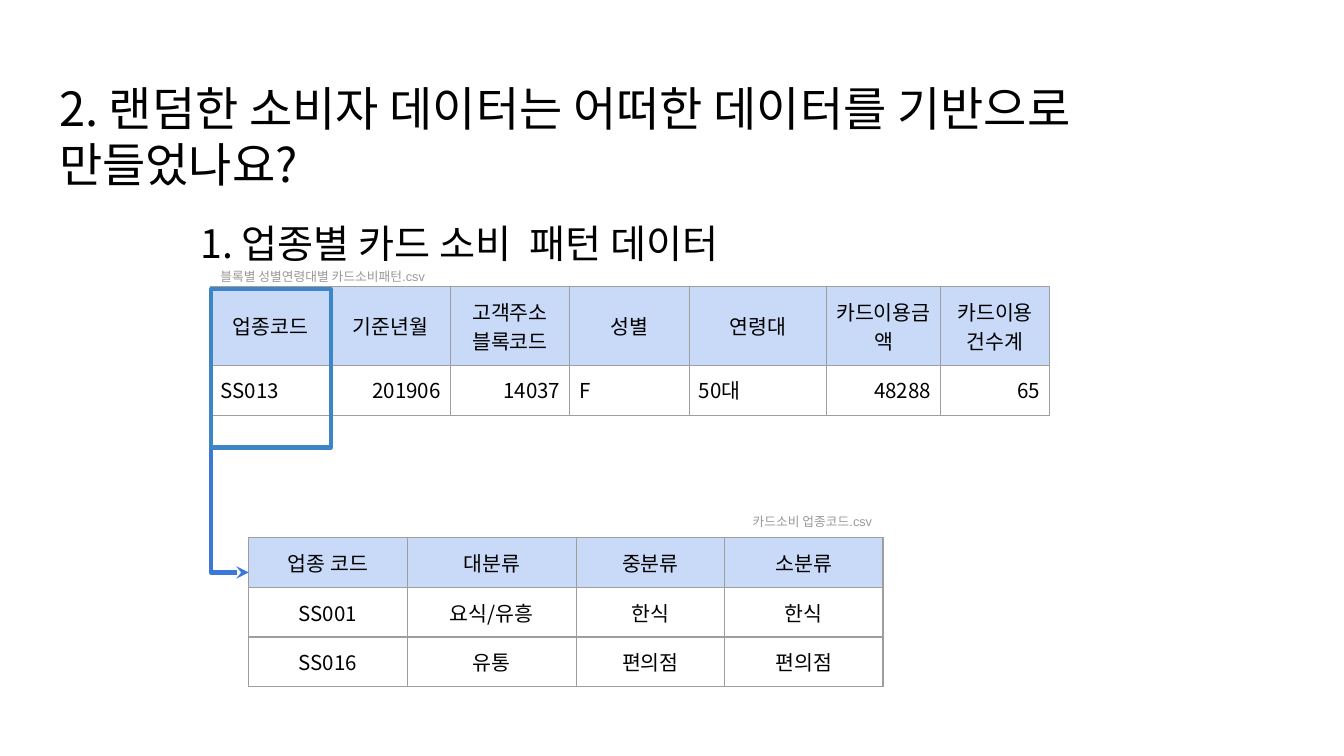
from lxml import etree
from pptx import Presentation
from pptx.dml.color import RGBColor
from pptx.enum.shapes import MSO_CONNECTOR, MSO_SHAPE
from pptx.enum.text import MSO_ANCHOR, PP_ALIGN
from pptx.oxml import parse_xml
from pptx.oxml.ns import nsdecls, qn
from pptx.util import Inches, Pt

COLORS = {"text": "000000", "caption": "999999", "header": "C9DAF8",
          "border": "9E9E9E", "frame": "3D85C6", "arrow": "3C78D8"}
KOREAN = "Noto Sans CJK KR"
LEFT, CENTER, RIGHT = PP_ALIGN.LEFT, PP_ALIGN.CENTER, PP_ALIGN.RIGHT
PADDING = 0.07

TITLE = "2. 랜덤한 소비자 데이터는 어떠한 데이터를 기반으로 만들었나요?"
SUBTITLE = "1. 업종별 카드 소비  패턴 데이터"
CAPTIONS = [
    ("블록별 성별연령대별 카드소비패턴.csv", 1.57, 1.94),
    ("카드소비 업종코드.csv", 5.53, 3.77),
]
TABLES = [
    {"at": (1.57, 2.13), "widths": [0.89, 0.89, 0.89, 0.89, 1.02, 0.85, 0.81],
     "heights": [0.59, 0.37], "body_anchor": MSO_ANCHOR.TOP,
     "aligns": [LEFT, RIGHT, RIGHT, LEFT, LEFT, RIGHT, RIGHT],
     "rows": [["업종코드", "기준년월", "고객주소\n블록코드", "성별", "연령대",
               "카드이용금액", "카드이용건수계"],
              ["SS013", "201906", "14037", "F", "50대", "48288", "65"]]},
    {"at": (1.85, 4), "widths": [1.18, 1.26, 1.1, 1.18],
     "heights": [0.37] * 3, "body_anchor": MSO_ANCHOR.MIDDLE,
     "aligns": [CENTER] * 4,
     "rows": [["업종 코드", "대분류", "중분류", "소분류"],
              ["SS001", "요식/유흥", "한식", "한식"],
              ["SS016", "유통", "편의점", "편의점"]]},
]
FRAME = (1.57, 2.15, 0.89, 1.18)
ARROW_END = (1.85, 4.26)


def color(name):
    return RGBColor.from_string(COLORS[name])


def style(para, size, font=KOREAN, shade="text", align=LEFT):
    para.alignment = align
    para.font.size = Pt(size)
    para.font.name = font
    para.font.color.rgb = color(shade)
    props = para.font._element
    props.set("kern", "0")
    if font == KOREAN:
        props.find(qn("a:latin")).addnext(
            parse_xml(f'<a:ea {nsdecls("a")} typeface="{font}"/>'))


def pad(item, margin):
    item.margin_left = item.margin_right = Inches(margin)
    item.margin_top = item.margin_bottom = Inches(margin)


def add_text(page, text, box, size, **look):
    frame = page.shapes.add_textbox(*map(Inches, box)).text_frame
    frame.word_wrap = True
    pad(frame, PADDING)
    frame.text = text
    style(frame.paragraphs[0], size, **look)
    return frame.paragraphs[0]


def add_borders(cell):
    props = cell._tc.get_or_add_tcPr()
    for index, side in enumerate(("lnL", "lnR", "lnT", "lnB")):
        props.insert(index, parse_xml(
            f'<a:{side} {nsdecls("a")} w="{Pt(0.75)}"><a:solidFill>'
            f'<a:srgbClr val="{COLORS["border"]}"/></a:solidFill></a:{side}>'))


def add_table(page, data):
    widths, heights = data["widths"], data["heights"]
    size = sum(widths), sum(heights)
    table = page.shapes.add_table(len(heights), len(widths),
                                  *map(Inches, data["at"] + size)).table
    for column, width in zip(table.columns, widths):
        column.width = Inches(width)
    for number, (row, height) in enumerate(zip(table.rows, heights)):
        row.height = Inches(height)
        header = number == 0
        for cell, text, align in zip(row.cells, data["rows"][number], data["aligns"]):
            cell.text = text
            pad(cell, PADDING)
            cell.vertical_anchor = MSO_ANCHOR.MIDDLE if header else data["body_anchor"]
            if header:
                cell.fill.solid()
                cell.fill.fore_color.rgb = color("header")
            else:
                cell.fill.background()
            for para in cell.text_frame.paragraphs:
                style(para, 11, align=CENTER if header else align)
            add_borders(cell)


def add_arrow(page, start, end):
    across, down = end[0] - start[0], end[1] - start[1]
    middle_x, middle_y = (start[0] + end[0]) / 2, (start[1] + end[1]) / 2
    arrow = page.shapes.add_connector(
        MSO_CONNECTOR.ELBOW,
        Inches(middle_x + down / 2), Inches(middle_y - across / 2),
        Inches(middle_x - down / 2), Inches(middle_y + across / 2))
    arrow.line.color.rgb = color("arrow")
    arrow.line.width = Pt(2.25)
    props = arrow._element.spPr
    props.find(qn("a:xfrm")).set("rot", str(270 * 60000))
    guides = props.find(qn("a:prstGeom")).get_or_add_avLst()
    etree.SubElement(guides, qn("a:gd"), name="adj1", fmla="val 100000")
    etree.SubElement(arrow.line._get_or_add_ln(), qn("a:tailEnd"), type="stealth")
    etree.SubElement(props, qn("a:effectLst"))


def main():
    deck = Presentation()
    deck.slide_width, deck.slide_height = Inches(10), Inches(10 * 9 / 16)
    page = deck.slides.add_slide(deck.slide_layouts[5])

    title = page.shapes.title
    title.left, title.top, title.width, title.height = map(Inches, (0.34, 0.49, 9.32, 0.63))
    title.text_frame.text = TITLE
    title.text_frame.vertical_anchor = MSO_ANCHOR.TOP
    title.text_frame.word_wrap = True
    pad(title.text_frame, 0.1)
    style(title.text_frame.paragraphs[0], 25.2)

    add_text(page, SUBTITLE, (1.42, 1.6, 6.99, 2.8), 21).line_spacing = 0.9
    for data in TABLES:
        add_table(page, data)
    left, top, _, height = FRAME
    add_arrow(page, (left, top + height), ARROW_END)
    for text, x, y in CAPTIONS:
        add_text(page, text, (x, y, 2.79, 0.27), 6.8, font="Arial", shade="caption")

    frame = page.shapes.add_shape(MSO_SHAPE.RECTANGLE, *map(Inches, FRAME))
    frame.shadow.inherit = False
    frame.fill.background()
    frame.line.color.rgb = color("frame")
    frame.line.width = Pt(2.25)
    deck.save("out.pptx")


if __name__ == "__main__":
    main()
